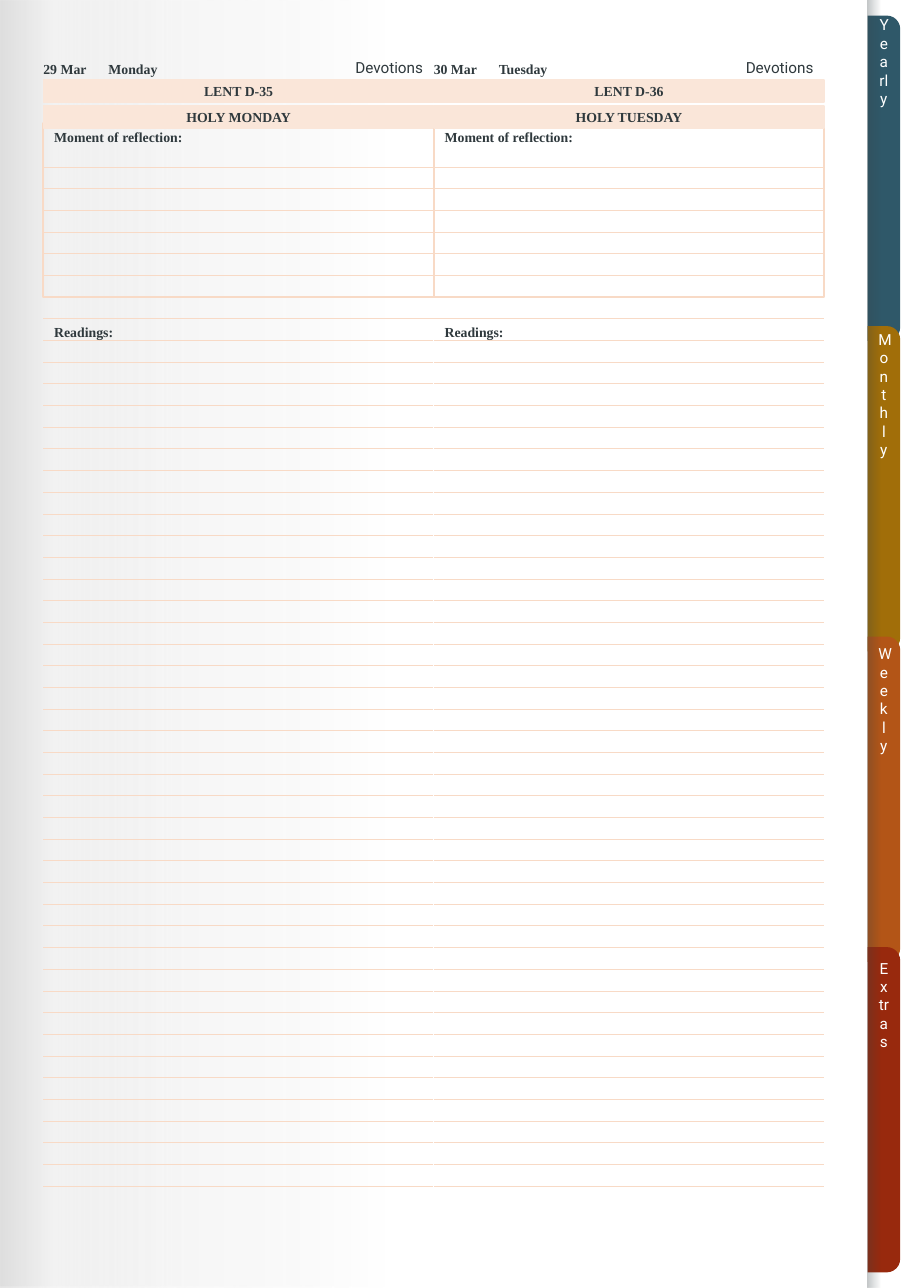
"""Devotions planner page with two days side by side and four section tabs."""
from lxml import etree
from pptx import Presentation
from pptx.dml.color import RGBColor
from pptx.enum.shapes import MSO_CONNECTOR, MSO_SHAPE as SHAPE
from pptx.enum.text import MSO_ANCHOR as ANCHOR, PP_ALIGN as ALIGN
from pptx.oxml import parse_xml
from pptx.oxml.ns import nsdecls, qn
from pptx.util import Mm, Pt

DAYS = [
    ("29 Mar", "Monday", "LENT D-35", "HOLY MONDAY"),
    ("30 Mar", "Tuesday", "LENT D-36", "HOLY TUESDAY"),
]
TABS = [("Yearly", "teal"), ("Monthly", "ochre"), ("Weekly", "orange"), ("Extras", "red")]
COLORS = {
    "teal": "2F5869", "ochre": "A16E09", "orange": "B35517", "red": "98290D",
    "rule": "F8DAC6", "band": "FAE6D9", "ink": "2F393D", "white": "FFFFFF",
    "gray": "D9D9D9", "pale": "F2F2F2", "slate": "384448",
}
PAGE_SHADE = [(0, "gray", 88), (6, "gray", 33), (19, "pale", 65), (43, "white", 100)]
EDGE_SHADE = [(0, "slate", 30), (31, "slate", 0)]
SERIF, SANS = "Times New Roman", "Roboto"

WIDTH, HEIGHT = 210, 297
MARGIN, COLUMN, ROW = 10, 90, 5
HEADER_TOP, BAND_TOPS = 13.5, (18.5, 24.5)
BOX_TOP, BOX_ROWS = 28.5, 8
READINGS_TOP, READING_LINES = 73.5, 41
TAB_LEFT, TAB_TOP, TAB_WIDTH, TAB_HEIGHT = 200, 3.6, 7.5, 75
TAB_STEP, LABEL_STEP = 71.6, 72.5

deck = Presentation()
deck.slide_width, deck.slide_height = Mm(WIDTH), Mm(HEIGHT)
page = deck.slides.add_slide(deck.slide_layouts[6])


def color(name):
    return RGBColor.from_string(COLORS[name])


def add_block(kind, left, top, width, height, fill=None, line=None, weight=1):
    block = page.shapes.add_shape(kind, Mm(left), Mm(top), Mm(width), Mm(height))
    block.shadow.inherit = False
    if fill:
        block.fill.solid()
        block.fill.fore_color.rgb = color(fill)
    else:
        block.fill.background()
    if line:
        block.line.color.rgb = color(line)
        block.line.width = Pt(weight)
    else:
        block.line.fill.background()
    return block


def add_shade(left, width, stops):
    block = add_block(SHAPE.RECTANGLE, left, 0, width, HEIGHT)
    marks = "".join(
        f'<a:gs pos="{place * 1000}"><a:srgbClr val="{COLORS[name]}">'
        f'<a:alpha val="{alpha * 1000}"/></a:srgbClr></a:gs>'
        for place, name, alpha in stops)
    gradient = parse_xml(
        f'<a:gradFill {nsdecls("a")} rotWithShape="1"><a:gsLst>{marks}</a:gsLst>'
        '<a:lin ang="0" scaled="0"/></a:gradFill>')
    properties = block._element.spPr
    properties.replace(properties.find(qn("a:noFill")), gradient)


def add_line(x1, y1, x2, y2, name, weight):
    line = page.shapes.add_connector(MSO_CONNECTOR.STRAIGHT, Mm(x1), Mm(y1), Mm(x2), Mm(y2))
    line.line.color.rgb = color(name)
    line.line.width = Pt(weight)
    etree.SubElement(line._element.spPr, qn("a:effectLst"))


def write(box, text, font=SERIF, size=9, ink="ink", align=ALIGN.LEFT,
          anchor=ANCHOR.MIDDLE, inset=2.54, spacing=1.0):
    frame = box.text_frame
    frame.word_wrap = True
    frame.vertical_anchor = anchor
    frame.margin_left, frame.margin_right = Mm(inset), Mm(2.54)
    frame.margin_top = frame.margin_bottom = 0
    frame.text = text
    para = frame.paragraphs[0]
    para.alignment, para.line_spacing = align, spacing
    span = para.runs[0].font
    span.name, span.size, span.bold = font, Pt(size), font == SERIF
    span.color.rgb = color(ink)


def add_text(left, top, width, height, text, **style):
    write(page.shapes.add_textbox(Mm(left), Mm(top), Mm(width), Mm(height)), text, **style)


def add_tabs():
    for index, (label, fill) in enumerate(TABS):
        left = TAB_LEFT + (TAB_WIDTH - TAB_HEIGHT) / 2
        top = TAB_TOP + index * TAB_STEP + (TAB_HEIGHT - TAB_WIDTH) / 2
        tab = add_block(SHAPE.ROUND_2_SAME_RECTANGLE, left, top, TAB_HEIGHT, TAB_WIDTH, fill)
        tab.adjustments[0], tab.adjustments[1] = 0.41, 0
        tab.rotation = 90
    add_shade(TAB_LEFT, WIDTH - TAB_LEFT, EDGE_SHADE)
    for index, (label, fill) in enumerate(TABS):
        add_text(TAB_LEFT, TAB_TOP + index * LABEL_STEP, TAB_WIDTH, LABEL_STEP, label,
                 font=SANS, size=10, ink="white", align=ALIGN.CENTER, anchor=ANCHOR.TOP)


def add_day(left, date, weekday, lent, feast):
    right = left + COLUMN
    reading_rules = [READINGS_TOP + ROW * n for n in range(READING_LINES)]
    box_rules = [BOX_TOP + ROW * n for n in range(2, BOX_ROWS)]
    for y in reading_rules + box_rules:
        add_line(left, y, right, y, "rule", 0.5)
    add_block(SHAPE.RECTANGLE, left, BOX_TOP, COLUMN, BOX_ROWS * ROW, line="rule", weight=1.5)
    for top, width, title in ((BOX_TOP, COLUMN, "Moment of reflection:"),
                              (READINGS_TOP, COLUMN / 2, "Readings:")):
        add_text(left, top, width, ROW, title, anchor=ANCHOR.BOTTOM, spacing=0.9)
    if right < WIDTH / 2:
        add_line(right, READINGS_TOP, right, HEIGHT, "white", 1.5)
    for top, title in zip(BAND_TOPS, (lent, feast)):
        band = add_block(SHAPE.RECTANGLE, left, top, COLUMN, ROW, "band", "band")
        write(band, title, align=ALIGN.CENTER)
    add_text(left, HEADER_TOP, 3 * ROW, ROW, date, inset=0)
    add_text(left + 3 * ROW, HEADER_TOP, 4 * ROW, ROW, weekday, inset=0)
    add_text(left + 7 * ROW, HEADER_TOP, 11 * ROW, 1.5 * ROW, "Devotions",
             font=SANS, size=10, align=ALIGN.RIGHT, anchor=ANCHOR.TOP)


add_shade(0, WIDTH, PAGE_SHADE)
add_tabs()
for column, day in enumerate(DAYS):
    add_day(MARGIN + column * COLUMN, *day)
deck.save("out.pptx")
